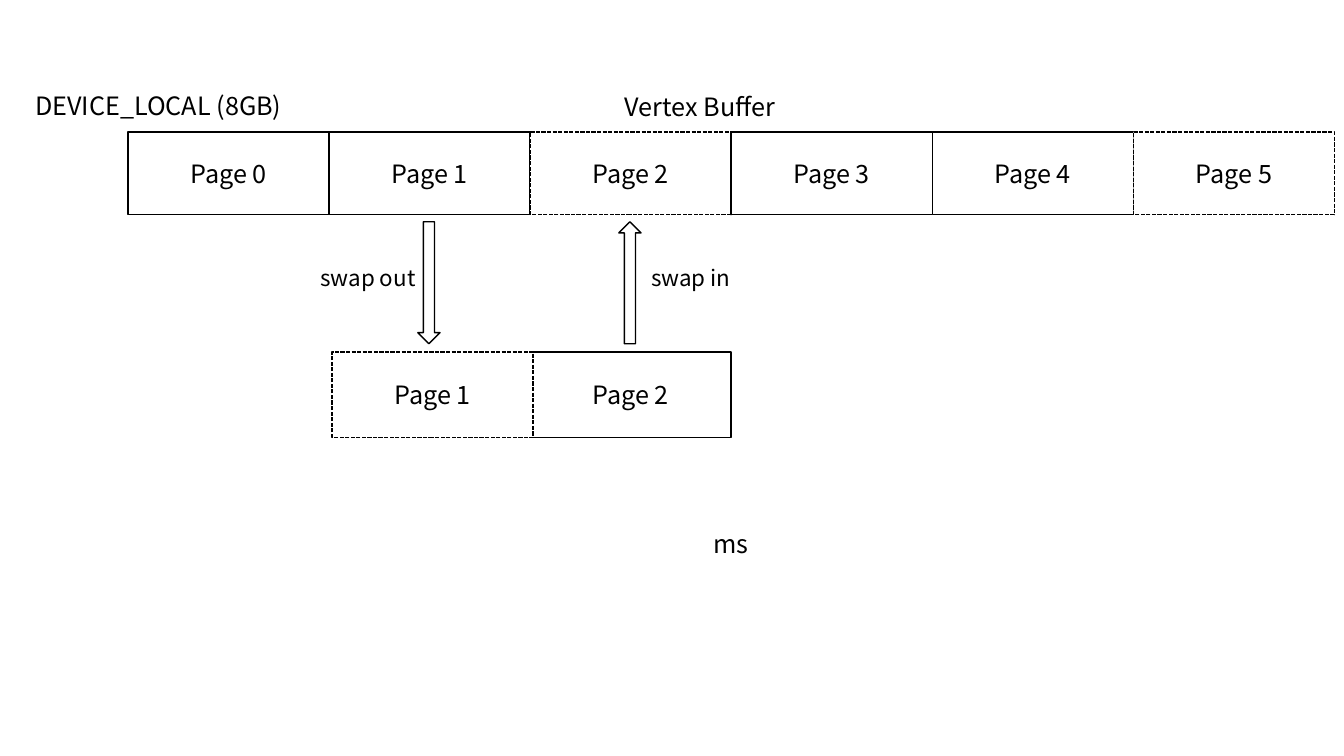
from pptx import Presentation
from pptx.dml.color import RGBColor
from pptx.enum.dml import MSO_LINE
from pptx.enum.shapes import MSO_SHAPE
from pptx.enum.text import MSO_ANCHOR, MSO_AUTO_SIZE, PP_ALIGN
from pptx.util import Inches, Pt

RECTANGLE = MSO_SHAPE.RECTANGLE
DOWN_ARROW = MSO_SHAPE.DOWN_ARROW
DASHED = MSO_LINE.SQUARE_DOT
CENTER = PP_ALIGN.CENTER
MIDDLE = MSO_ANCHOR.MIDDLE
FIT_SHAPE = MSO_AUTO_SIZE.SHAPE_TO_FIT_TEXT

BLACK = RGBColor(0x00, 0x00, 0x00)
WHITE = RGBColor(0xFF, 0xFF, 0xFF)
FONT = "Noto Sans CJK SC"

# Memory grid, in inches
GRID_LEFT = 1.27
COLUMN = (11.24 - GRID_LEFT) / 5
DEVICE_TOP, DEVICE_HEIGHT = 1.31, 0.82
HOST_TOP, HOST_HEIGHT = 3.49, 0.85
HOST_SHIFT = 0.03
ARROW_TOP, ARROW_WIDTH, ARROW_HEIGHT = 2.2, 0.22, 1.21
ARROW_INSET = 0.88


def column_left(column):
    return GRID_LEFT + column * COLUMN


def write(frame, text, size=18, align=None):
    para = frame.paragraphs[0]
    if align is not None:
        para.alignment = align
    span = para.add_run()
    span.text = text
    span.font.size = Pt(size)
    span.font.name = FONT
    span.font.color.rgb = BLACK


def add_outlined(page, kind, left, top, width, height, dashed=False):
    shape = page.shapes.add_shape(
        kind, Inches(left), Inches(top), Inches(width), Inches(height))
    shape.shadow.inherit = False
    shape.fill.solid()
    shape.fill.fore_color.rgb = WHITE
    shape.line.color.rgb = BLACK
    shape.line.width = Pt(1)
    if dashed:
        shape.line.dash_style = DASHED
    return shape


def add_memory_page(page, number, left, top, height, dashed=False):
    box = add_outlined(page, RECTANGLE, left, top, COLUMN, height, dashed)
    box.text_frame.vertical_anchor = MIDDLE
    write(box.text_frame, f"Page {number}", align=CENTER)


def add_swap_arrow(page, column, rotation=0):
    arrow = add_outlined(page, DOWN_ARROW, column_left(column) + ARROW_INSET,
                         ARROW_TOP, ARROW_WIDTH, ARROW_HEIGHT)
    arrow.rotation = rotation


def add_label(page, text, left, top, width, height=0.4, size=18):
    box = page.shapes.add_textbox(
        Inches(left), Inches(top), Inches(width), Inches(height))
    box.text_frame.word_wrap = True
    box.text_frame.auto_size = FIT_SHAPE
    write(box.text_frame, text, size)


def main():
    deck = Presentation()
    deck.slide_width, deck.slide_height = Inches(13.33), Inches(7.5)
    page = deck.slides.add_slide(deck.slide_layouts[6])

    # Device memory: pages 2 and 5 are not resident
    for number in range(6):
        add_memory_page(page, number, column_left(number), DEVICE_TOP,
                        DEVICE_HEIGHT, dashed=number in (2, 5))

    # Swapped pages
    add_memory_page(page, 2, column_left(2), HOST_TOP, HOST_HEIGHT)
    add_memory_page(page, 1, column_left(1) + HOST_SHIFT, HOST_TOP,
                    HOST_HEIGHT, dashed=True)

    # Swap directions
    add_swap_arrow(page, 1)
    add_swap_arrow(page, 2, rotation=180)
    add_label(page, "swap out", 3.08, 2.57, 1.45, 0.37, size=16)
    add_label(page, "swap in", 6.36, 2.57, 1.45, 0.37, size=16)

    # Captions
    add_label(page, "DEVICE_LOCAL (8GB)", 0.25, 0.85, 2.83)
    add_label(page, "Vertex Buffer", 6.1, 0.86, 2.04)
    add_label(page, "ms", 6.98, 5.19, 1.16)

    deck.save("out.pptx")


if __name__ == "__main__":
    main()
